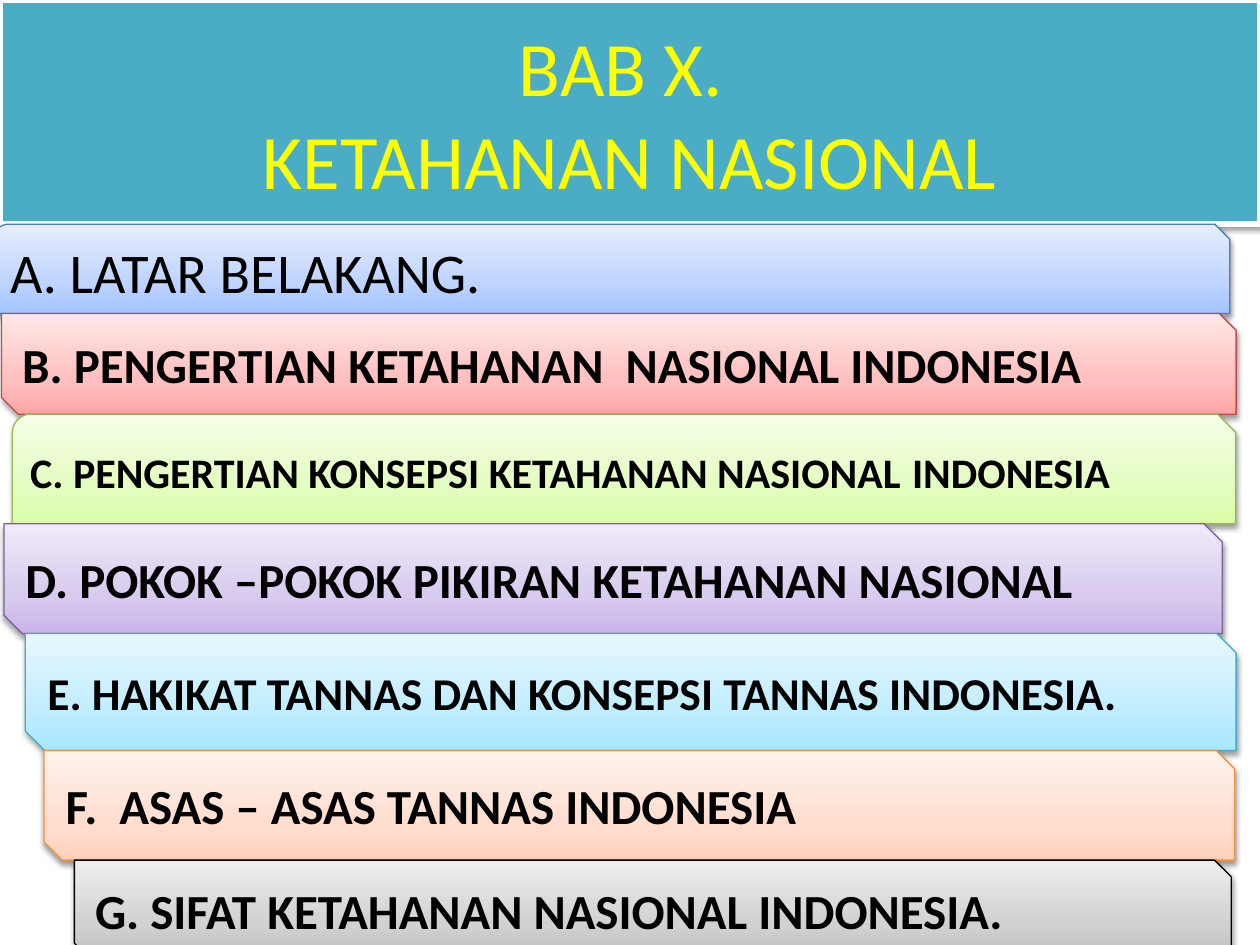
from copy import deepcopy
from dataclasses import dataclass

from lxml import etree
from pptx import Presentation
from pptx.dml.color import RGBColor
from pptx.enum.shapes import MSO_SHAPE
from pptx.enum.text import MSO_ANCHOR, PP_ALIGN
from pptx.oxml.ns import qn
from pptx.util import Cm, Pt

RECTANGLE = MSO_SHAPE.RECTANGLE
SNIP_ROUND = MSO_SHAPE.SNIP_ROUND_RECTANGLE
SNIP_DIAGONAL = MSO_SHAPE.SNIP_2_DIAG_RECTANGLE
LEFT, CENTER = PP_ALIGN.LEFT, PP_ALIGN.CENTER
MIDDLE = MSO_ANCHOR.MIDDLE


@dataclass(frozen=True)
class Theme:
    font: str = "Calibri"
    title_size: int = 44
    title_color: str = "FFFF00"
    title_fill: str = "4BACC6"
    title_line: str = "FFFFFF"
    text_color: str = "000000"
    large: int = 32
    regular: int = 28
    medium: int = 26
    small: int = 24
    # Bar colours: outline, then gradient from bottom to top
    blue: tuple = ("4B7EBC", "A4C4FF", "BFD4FF", "E6EEFF")
    red: tuple = ("BF4C48", "FFA6A5", "FFC0BF", "FFE7E7")
    green: tuple = ("98B955", "DAFDA7", "E4FCC2", "F5FFE7")
    purple: tuple = ("7D60A0", "C9B5E8", "D8CBEE", "F0EAF9")
    aqua: tuple = ("46AAC5", "A7E6FF", "C1EDFF", "E7F8FF")
    orange: tuple = ("F69240", "FFD2BD", "FFDED0", "FFF2ED")
    gray: tuple = ("000000", "BDBDBD", "D1D1D1", "EEEEEE")
    gradient_positions: tuple = (0, 0.35, 1)


THEME = Theme()

# Content, with lengths in centimetres
SLIDE_WIDTH, SLIDE_HEIGHT = 25.4, 19.05
TITLE = "BAB X. \vKETAHANAN NASIONAL"
TITLE_HEIGHT = 4.52

# text, outline, left, width, height, colours, type size, bold
CHAPTERS = [
    ("A. LATAR BELAKANG.",
     SNIP_ROUND, -0.13, 24.92, 1.8, THEME.blue, THEME.large, False),
    ("B. PENGERTIAN KETAHANAN  NASIONAL INDONESIA",
     SNIP_DIAGONAL, 0.03, 24.89, 2.03, THEME.red, THEME.regular, True),
    ("C. PENGERTIAN KONSEPSI KETAHANAN NASIONAL \tINDONESIA",
     SNIP_ROUND, 0.25, 24.66, 2.21, THEME.green, THEME.small, True),
    ("D. POKOK –POKOK PIKIRAN KETAHANAN NASIONAL",
     SNIP_DIAGONAL, 0.08, 24.56, 2.21, THEME.purple, THEME.regular, True),
    ("E. HAKIKAT TANNAS DAN KONSEPSI TANNAS INDONESIA.",
     SNIP_DIAGONAL, 0.51, 24.41, 2.36, THEME.aqua, THEME.medium, True),
    ("F.  ASAS – ASAS TANNAS INDONESIA",
     SNIP_DIAGONAL, 0.89, 24.0, 2.21, THEME.orange, THEME.regular, True),
    ("G. SIFAT KETAHANAN NASIONAL INDONESIA.",
     SNIP_DIAGONAL, 1.5, 23.32, 2.01, THEME.gray, THEME.regular, True),
]


def write_text(shape, text, *, size, color, bold=False, align=LEFT):
    frame = shape.text_frame
    frame.word_wrap = True
    frame.vertical_anchor = MIDDLE
    paragraph = frame.paragraphs[0]
    paragraph.text = text
    paragraph.alignment = align
    for run in paragraph.runs:
        run.font.name = THEME.font
        run.font.size = Pt(size)
        run.font.bold = bold
        run.font.color.rgb = RGBColor.from_string(color)


def add_soft_shadow(shape):
    shape.shadow.inherit = False
    effects = shape._element.spPr.find(qn("a:effectLst"))
    shadow = etree.SubElement(effects, qn("a:outerShdw"), blurRad="40000",
                              dist="20000", dir="5400000", rotWithShape="0")
    color = etree.SubElement(shadow, qn("a:srgbClr"), val="000000")
    etree.SubElement(color, qn("a:alpha"), val="38000")


def fill_gradient(shape, colors):
    shape.fill.gradient()
    shape.fill.gradient_angle = 90
    # A new gradient has two stops; a third is needed
    stop_list = shape._element.spPr.find(".//" + qn("a:gsLst"))
    stop_list.append(deepcopy(stop_list[-1]))
    stops = shape.fill.gradient_stops
    for stop, position, color in zip(stops, THEME.gradient_positions, colors):
        stop.position = position
        stop.color.rgb = RGBColor.from_string(color)


def add_block(slide, kind, left, top, width, height, line_color, line_width):
    shape = slide.shapes.add_shape(kind, Cm(left), Cm(top), Cm(width), Cm(height))
    shape.line.color.rgb = RGBColor.from_string(line_color)
    shape.line.width = Pt(line_width)
    add_soft_shadow(shape)
    return shape


def main():
    presentation = Presentation()
    presentation.slide_width = Cm(SLIDE_WIDTH)
    presentation.slide_height = Cm(SLIDE_HEIGHT)
    slide = presentation.slides.add_slide(presentation.slide_layouts[6])

    # Title banner
    banner = add_block(slide, RECTANGLE, 0, 0, SLIDE_WIDTH, TITLE_HEIGHT,
                       THEME.title_line, 3)
    banner.fill.solid()
    banner.fill.fore_color.rgb = RGBColor.from_string(THEME.title_fill)
    write_text(banner, TITLE, size=THEME.title_size,
               color=THEME.title_color, align=CENTER)

    # Chapter bars, each starting where the one above ends
    top = TITLE_HEIGHT
    for text, kind, left, width, height, colors, size, bold in CHAPTERS:
        line_color, *gradient = colors
        bar = add_block(slide, kind, left, top, width, height, line_color, 0.75)
        fill_gradient(bar, gradient)
        write_text(bar, text, size=size, color=THEME.text_color, bold=bold)
        top += height

    presentation.save("out.pptx")


if __name__ == "__main__":
    main()
